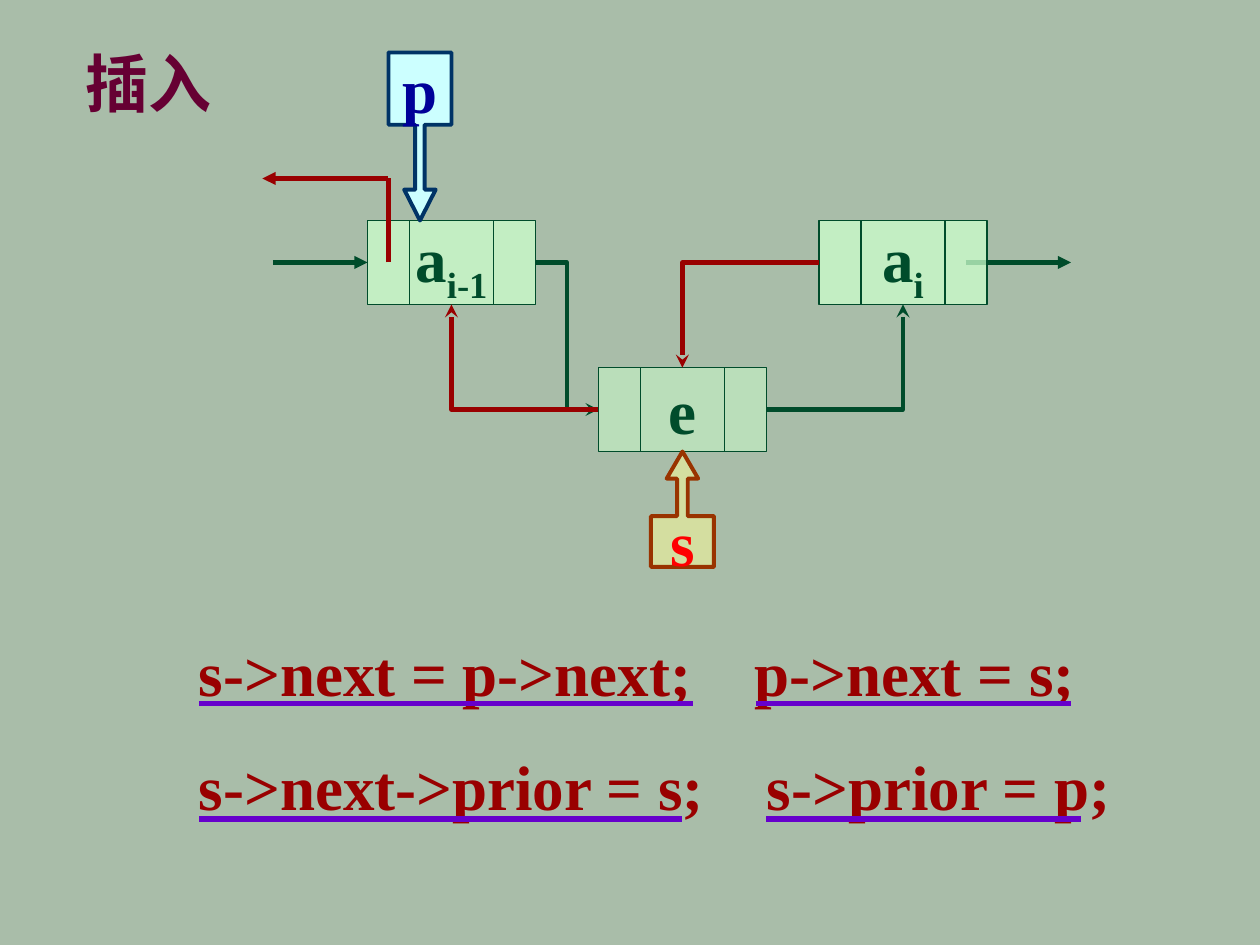
from lxml import etree
from pptx import Presentation
from pptx.dml.color import RGBColor
from pptx.enum.shapes import MSO_CONNECTOR, MSO_SHAPE
from pptx.enum.text import MSO_ANCHOR, MSO_AUTO_SIZE, PP_ALIGN
from pptx.oxml.ns import qn
from pptx.util import Cm, Pt

FONT = "Times New Roman"
COLORS = {
    "page": "A9BDA9", "node": "CCFFCC", "green": "004C2B", "red": "990000",
    "underline": "6600CC", "title": "660033", "p_fill": "CCFFFF",
    "p_line": "003366", "p_text": "000099", "s_fill": "FFFF99",
    "s_line": "993300", "s_text": "FF0000",
}

# Diagram coordinates count grid steps, 120 across the page width.
STEP = 25.4 / 120
NODE_WIDTH, NODE_HEIGHT = 16, 8
DIVIDERS = (4, 12)

# left, top, opacity in percent, name, subscript
NODES = [
    (35, 21, 75, "a", "i-1"),
    (78, 21, 75, "a", "i"),
    (57, 35, 50, "e", ""),
]
# shape, box, adjustments, name, opacity
POINTERS = [
    (MSO_SHAPE.DOWN_ARROW_CALLOUT, (37, 5, 6, 16),
     (0.15, 0.25, 0.49, 0.43), "p", 100),
    (MSO_SHAPE.UP_ARROW_CALLOUT, (62, 43, 6, 11),
     (0.17, 0.25, 0.43, 0.44), "s", 50),
]
# start, end, colour, arrowhead
CHAIN_LINKS = [
    ((26, 25), (35, 25), "green", "triangle"),
    ((92, 25), (102, 25), "green", "triangle"),
]
PRIOR_LINK = [
    ((37, 25), (37, 17), "red", None),
    ((37, 17), (25, 17), "red", "triangle"),
]
# start, end, colour, preset
NEW_LINKS = [
    ((73, 39), (86, 29), "green", "bentConnector2"),
    ((51, 25), (57, 39), "green", "bentConnector3"),
    ((78, 25), (65, 35), "red", "bentConnector2"),
    ((57, 39), (43, 29), "red", "bentConnector2"),
]
# first statement, second statement, tab stop in cm
STATEMENTS = [
    ("s->next = p->next;", "p->next = s;", 11.2),
    ("s->next->prior = s;", "s->prior = p;", 11.45),
]
# left, right, height on the page
UNDERLINES = [(19, 66, 67), (72, 102, 67), (19, 65, 78), (73, 103, 78)]


def grid(*steps):
    return [Cm(step * STEP) for step in steps]


def paint(fill, color, opacity=100):
    fill.solid()
    fill.fore_color.rgb = RGBColor.from_string(COLORS[color])
    if opacity < 100:
        node = fill._xPr.find(qn("a:solidFill"))[0]
        etree.SubElement(node, qn("a:alpha"), val=str(opacity * 1000))


def add_span(para, text, color, baseline=None):
    span = para.add_run()
    span.text = text
    span.font.name = FONT
    span.font.size = Pt(36)
    span.font.bold = True
    span.font.color.rgb = RGBColor.from_string(COLORS[color])
    if baseline:
        span.font._element.set("baseline", str(baseline * 1000))


def add_line(page, start, end, color, width, head=None, preset=None):
    kind = MSO_CONNECTOR.ELBOW if preset else MSO_CONNECTOR.STRAIGHT
    line = page.shapes.add_connector(kind, *grid(*start, *end))
    line.line.color.rgb = RGBColor.from_string(COLORS[color])
    line.line.width = Pt(width)
    properties = line._element.spPr
    if preset:
        properties.find(qn("a:prstGeom")).set("prst", preset)
    if head:
        etree.SubElement(line.line._get_or_add_ln(), qn("a:tailEnd"), type=head)
    etree.SubElement(properties, qn("a:effectLst"))


def add_labelled_shape(page, kind, box, fill, opacity, line, width):
    """Add a shape and return it with its empty centred paragraph."""
    shape = page.shapes.add_shape(kind, *grid(*box))
    shape.shadow.inherit = False
    paint(shape.fill, fill, opacity)
    shape.line.color.rgb = RGBColor.from_string(COLORS[line])
    shape.line.width = Pt(width)
    frame = shape.text_frame
    frame.word_wrap = False
    frame.vertical_anchor = MSO_ANCHOR.MIDDLE
    para = frame.paragraphs[0]
    para.alignment = PP_ALIGN.CENTER
    return shape, para


def add_node(page, left, top, opacity, name, subscript):
    box = (left, top, NODE_WIDTH, NODE_HEIGHT)
    _, para = add_labelled_shape(
        page, MSO_SHAPE.RECTANGLE, box, "node", opacity, "green", 0.75)
    add_span(para, name, "green")
    if subscript:
        add_span(para, subscript, "green", -25)
    for offset in DIVIDERS:
        x = left + offset
        add_line(page, (x, top), (x, top + NODE_HEIGHT), "green", 0.75)


def add_pointer(page, kind, box, adjustments, name, opacity):
    shape, para = add_labelled_shape(
        page, kind, box, f"{name}_fill", opacity, f"{name}_line", 2.25)
    for index, value in enumerate(adjustments):
        shape.adjustments[index] = value
    add_span(para, name, f"{name}_text")


def add_title(page):
    box = page.shapes.add_textbox(Cm(1.48), Cm(0.77), Cm(3.07), Cm(1.79))
    box.text_frame.word_wrap = False
    box.text_frame.auto_size = MSO_AUTO_SIZE.SHAPE_TO_FIT_TEXT
    add_span(box.text_frame.paragraphs[0], "插入", "title")


def add_statements(page):
    box = page.shapes.add_textbox(Cm(3.76), Cm(11.89), Cm(19.2), Cm(4.83))
    frame = box.text_frame
    frame.word_wrap = True
    for index, (first, second, stop) in enumerate(STATEMENTS):
        para = frame.add_paragraph() if index else frame.paragraphs[0]
        para.line_spacing = 1.5
        tabs = etree.SubElement(para._p.get_or_add_pPr(), qn("a:tabLst"))
        etree.SubElement(tabs, qn("a:tab"), pos=str(Cm(stop)), algn="l")
        add_span(para, f"{first}\t", "red")
        add_span(para, second, "red")


def main():
    deck = Presentation()
    deck.slide_width, deck.slide_height = Cm(25.4), Cm(19.05)
    page = deck.slides.add_slide(deck.slide_layouts[6])
    paint(page.background.fill, "page")

    add_title(page)
    add_statements(page)
    for left, right, height in UNDERLINES:
        add_line(page, (left, height), (right, height), "underline", 3)
    for start, end, color, head in CHAIN_LINKS:
        add_line(page, start, end, color, 2.5, head)
    for node in NODES:
        add_node(page, *node)
    for pointer in POINTERS:
        add_pointer(page, *pointer)
    for start, end, color, preset in NEW_LINKS:
        add_line(page, start, end, color, 2.5, "stealth", preset)
    for start, end, color, head in PRIOR_LINK:
        add_line(page, start, end, color, 2.5, head)
    deck.save("out.pptx")


if __name__ == "__main__":
    main()
